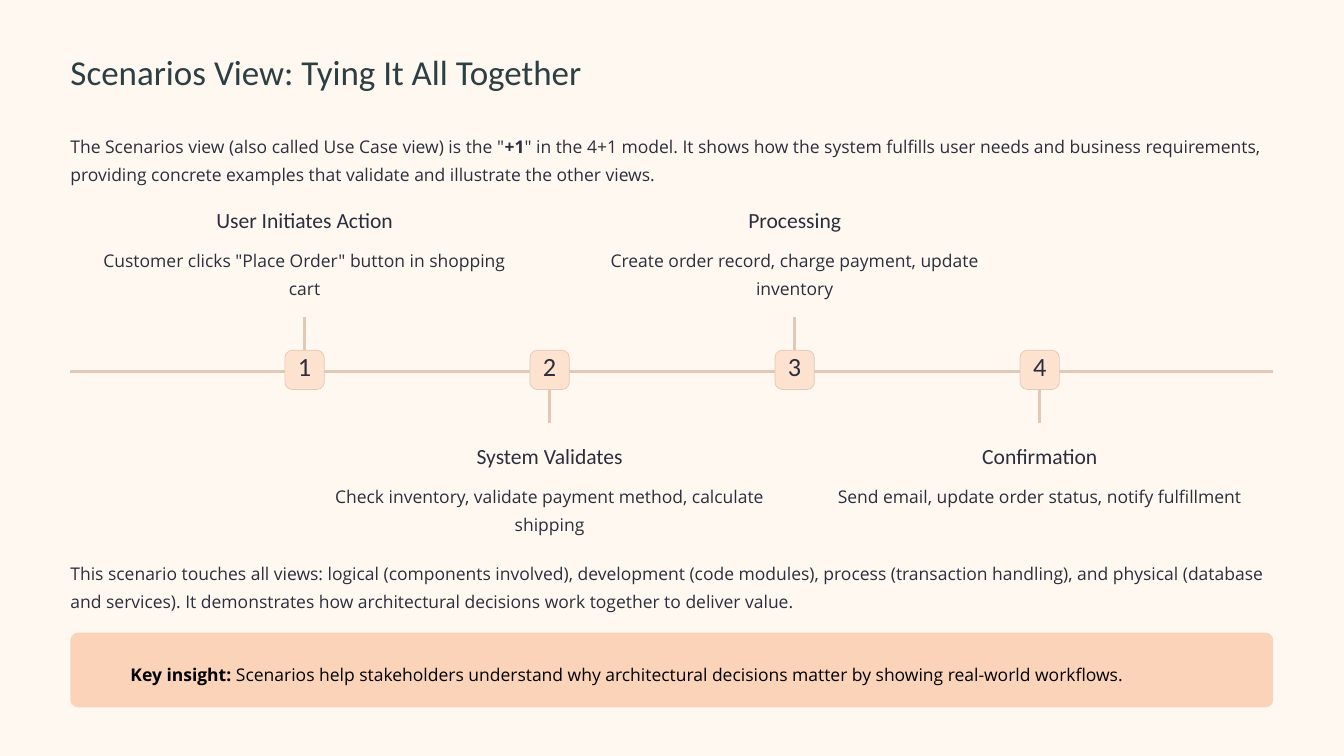
from dataclasses import dataclass

from pptx import Presentation
from pptx.dml.color import RGBColor
from pptx.enum.shapes import MSO_CONNECTOR, MSO_SHAPE
from pptx.enum.text import MSO_ANCHOR, MSO_AUTO_SIZE, PP_ALIGN
from pptx.oxml import parse_xml
from pptx.oxml.ns import nsdecls
from pptx.shapes.autoshape import Shape
from pptx.shapes.connector import Connector
from pptx.slide import Slide
from pptx.text.text import TextFrame
from pptx.util import Cm, Pt


@dataclass(frozen=True)
class TextStyle:
    font: str
    size: float
    leading: float
    color: str


@dataclass(frozen=True)
class Theme:
    background: str = "FFF8F0"
    line: str = "E2C8B5"
    badge: str = "FCE2CF"
    callout: str = "FAD3B8"
    title: TextStyle = TextStyle("Calibri", 30, 37.5, "2C3F42")
    body: TextStyle = TextStyle("Open Sans", 15, 24, "2B2E3C")
    insight: TextStyle = TextStyle("Open Sans", 15, 24, "000000")
    heading: TextStyle = TextStyle("Calibri", 18.5, 23.5, "2B2E3C")
    number: TextStyle = TextStyle("Calibri", 22.5, 22.5, "2B2E3C")


@dataclass(frozen=True)
class Run:
    text: str
    bold: bool = False


@dataclass(frozen=True)
class Step:
    heading: str
    detail: str


@dataclass(frozen=True)
class Side:
    """Heights of one side of the timeline, and the badge side its stem leaves from."""
    heading_top: float
    detail_top: float
    stem_end: float
    badge_site: int


THEME = Theme()
LEFT, WIDTH = 2.13, 36.37
AXIS_Y = 11.23
FIRST_X, STEP_X = 9.21, 7.41
BADGE_TOP, BADGE_SIZE = 10.59, 1.19
STEP_WIDTH = 13.08
ABOVE = Side(heading_top=6.2, detail_top=7.35, stem_end=9.6, badge_site=0)
BELOW = Side(heading_top=13.35, detail_top=14.49, stem_end=12.8, badge_site=2)

INTRO = [
    Run('The Scenarios view (also called Use Case view) is the "'),
    Run("+1", bold=True),
    Run('" in the 4+1 model. It shows how the system fulfills user needs and business '
        "requirements, providing concrete examples that validate and illustrate the other views."),
]
STEPS = [
    Step("User Initiates Action", 'Customer clicks "Place Order" button in shopping cart'),
    Step("System Validates", "Check inventory, validate payment method, calculate shipping"),
    Step("Processing", "Create order record, charge payment, update inventory"),
    Step("Confirmation", "Send email, update order status, notify fulfillment"),
]
SUMMARY = [
    Run("This scenario touches all views: logical (components involved), development (code "
        "modules), process (transaction handling), and physical (database and services). It "
        "demonstrates how architectural decisions work together to deliver value."),
]
INSIGHT = [
    Run("Key insight:", bold=True),
    Run(" Scenarios help stakeholders understand why architectural decisions matter by "
        "showing real-world workflows."),
]


def rgb(color: str) -> RGBColor:
    return RGBColor.from_string(color)


def write(tf: TextFrame, runs: list[Run], style: TextStyle,
          align: PP_ALIGN = PP_ALIGN.LEFT, inset_left: float = 0, inset_top: float = 0) -> None:
    tf.word_wrap = True
    tf.auto_size = MSO_AUTO_SIZE.NONE
    tf.vertical_anchor = MSO_ANCHOR.TOP
    tf.margin_left, tf.margin_top = Cm(inset_left), Cm(inset_top)
    tf.margin_right = tf.margin_bottom = 0
    p = tf.paragraphs[0]
    p.alignment = align
    p.line_spacing = Pt(style.leading)
    p.space_before = Pt(0)
    p.font.name, p.font.size = style.font, Pt(style.size)
    p.font.color.rgb = rgb(style.color)
    for run in runs:
        r = p.add_run()
        r.text = run.text
        if run.bold:
            r.font.bold = True


def add_text(s: Slide, left: float, top: float, width: float, height: float,
             runs: list[Run], style: TextStyle, align: PP_ALIGN = PP_ALIGN.LEFT) -> None:
    box = s.shapes.add_textbox(Cm(left), Cm(top), Cm(width), Cm(height))
    write(box.text_frame, runs, style, align)


def add_panel(s: Slide, left: float, top: float, width: float, height: float,
              fill: str, radius: float) -> Shape:
    """Add a rounded rectangle without outline; radius is a share of its short side."""
    sp = s.shapes.add_shape(MSO_SHAPE.ROUNDED_RECTANGLE, Cm(left), Cm(top), Cm(width), Cm(height))
    sp.adjustments[0] = radius
    sp.shadow.inherit = False
    sp.fill.solid()
    sp.fill.fore_color.rgb = rgb(fill)
    sp.line.fill.background()
    return sp


def add_line(s: Slide, x1: float, y1: float, x2: float, y2: float) -> Connector:
    line = s.shapes.add_connector(MSO_CONNECTOR.STRAIGHT, Cm(x1), Cm(y1), Cm(x2), Cm(y2))
    line.line.color.rgb = rgb(THEME.line)
    line.line.width = Pt(2.25)
    line._element.spPr.append(parse_xml(f"<a:effectLst {nsdecls('a')}/>"))
    return line


def add_step(s: Slide, index: int, step: Step) -> None:
    side = BELOW if index % 2 else ABOVE
    x = FIRST_X + index * STEP_X
    badge = add_panel(s, x - BADGE_SIZE / 2, BADGE_TOP, BADGE_SIZE, BADGE_SIZE, THEME.badge, 0.19)
    badge.line.color.rgb = rgb(THEME.line)
    badge.line.width = Pt(0.6)
    write(badge.text_frame, [Run(str(index + 1))], THEME.number, PP_ALIGN.CENTER, inset_top=0.1)
    stem = add_line(s, x, AXIS_Y, x, side.stem_end)
    stem.begin_connect(badge, side.badge_site)
    text_left = x - STEP_WIDTH / 2
    add_text(s, text_left, side.heading_top, STEP_WIDTH, 0.84,
             [Run(step.heading)], THEME.heading, PP_ALIGN.CENTER)
    add_text(s, text_left, side.detail_top, STEP_WIDTH, 1.7,
             [Run(step.detail)], THEME.body, PP_ALIGN.CENTER)


def main() -> None:
    prs = Presentation()
    prs.slide_width, prs.slide_height = Cm(40.64), Cm(22.86)
    s = prs.slides.add_slide(prs.slide_layouts[5])
    s.background.fill.solid()
    s.background.fill.fore_color.rgb = rgb(THEME.background)

    title = s.shapes.title
    title.left, title.top, title.width, title.height = Cm(LEFT), Cm(1.47), Cm(WIDTH), Cm(1.35)
    write(title.text_frame, [Run("Scenarios View: Tying It All Together")], THEME.title)

    add_text(s, LEFT, 3.89, WIDTH, 1.7, INTRO, THEME.body)
    add_line(s, LEFT, AXIS_Y, LEFT + WIDTH, AXIS_Y)
    for index, step in enumerate(STEPS):
        add_step(s, index, step)
    add_text(s, LEFT, 16.81, WIDTH, 1.7, SUMMARY, THEME.body)

    callout = add_panel(s, LEFT, 19.13, WIDTH, 2.26, THEME.callout, 0.1)
    write(callout.text_frame, INSIGHT, THEME.insight, inset_left=1.75, inset_top=0.66)
    prs.save("out.pptx")


if __name__ == "__main__":
    main()
